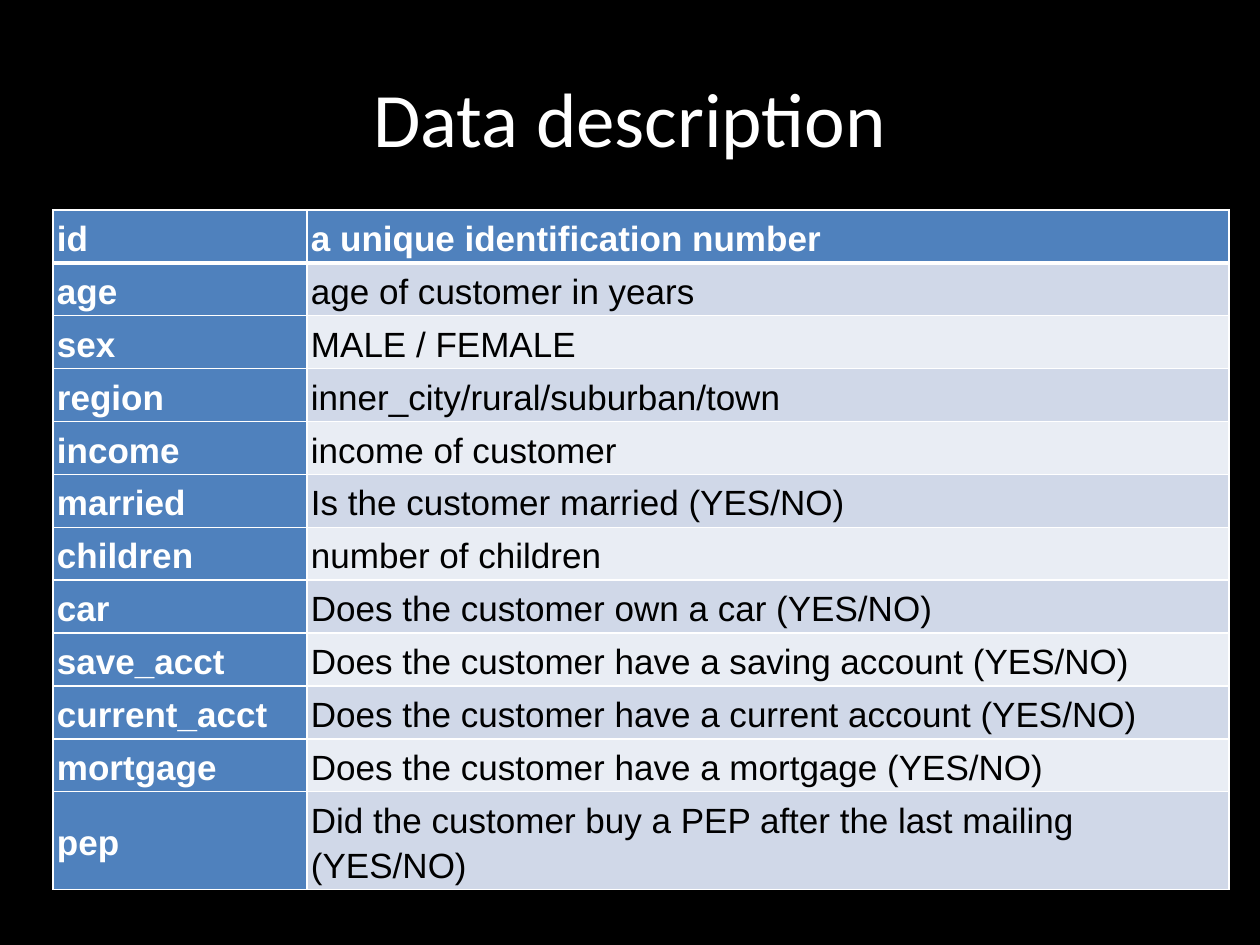
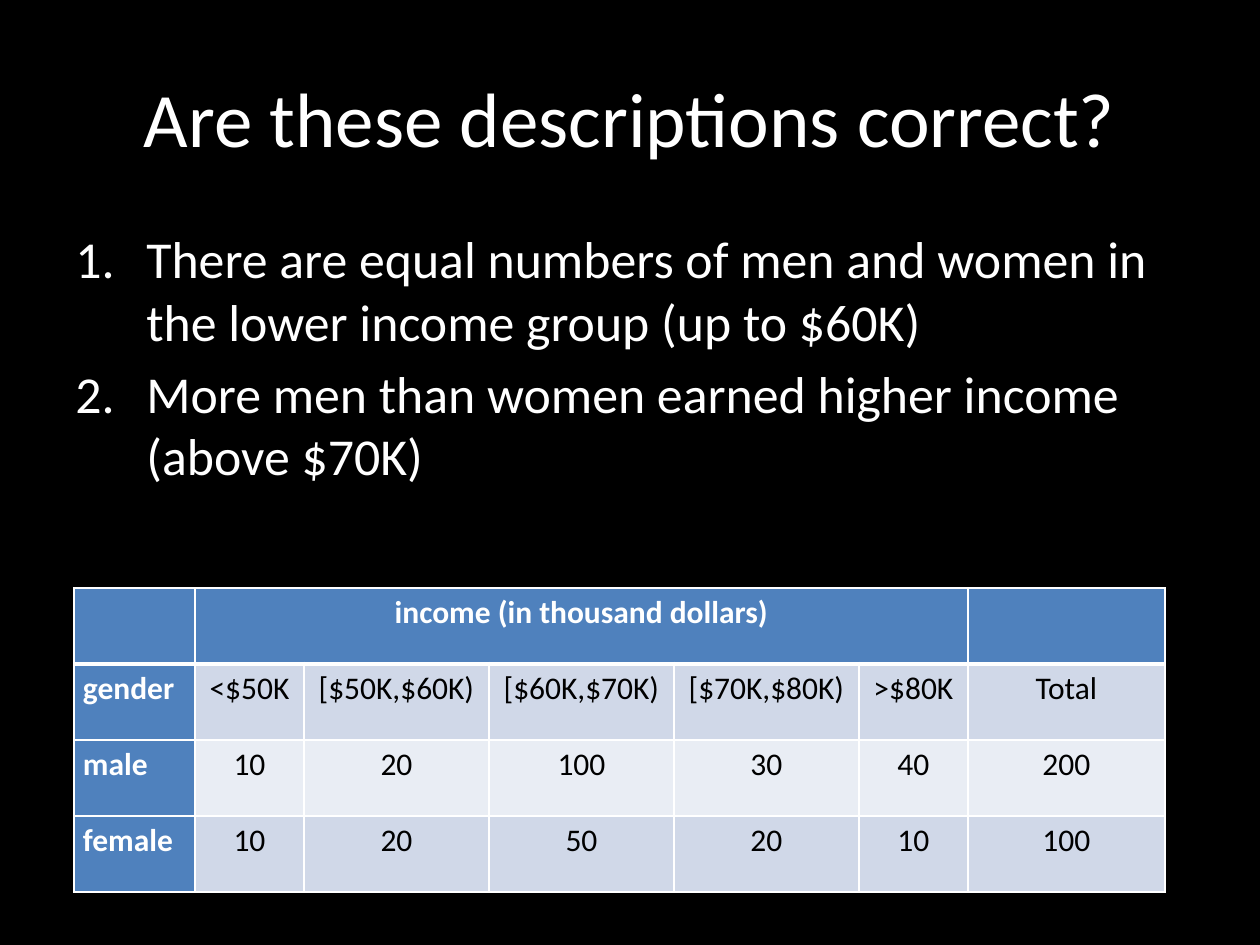
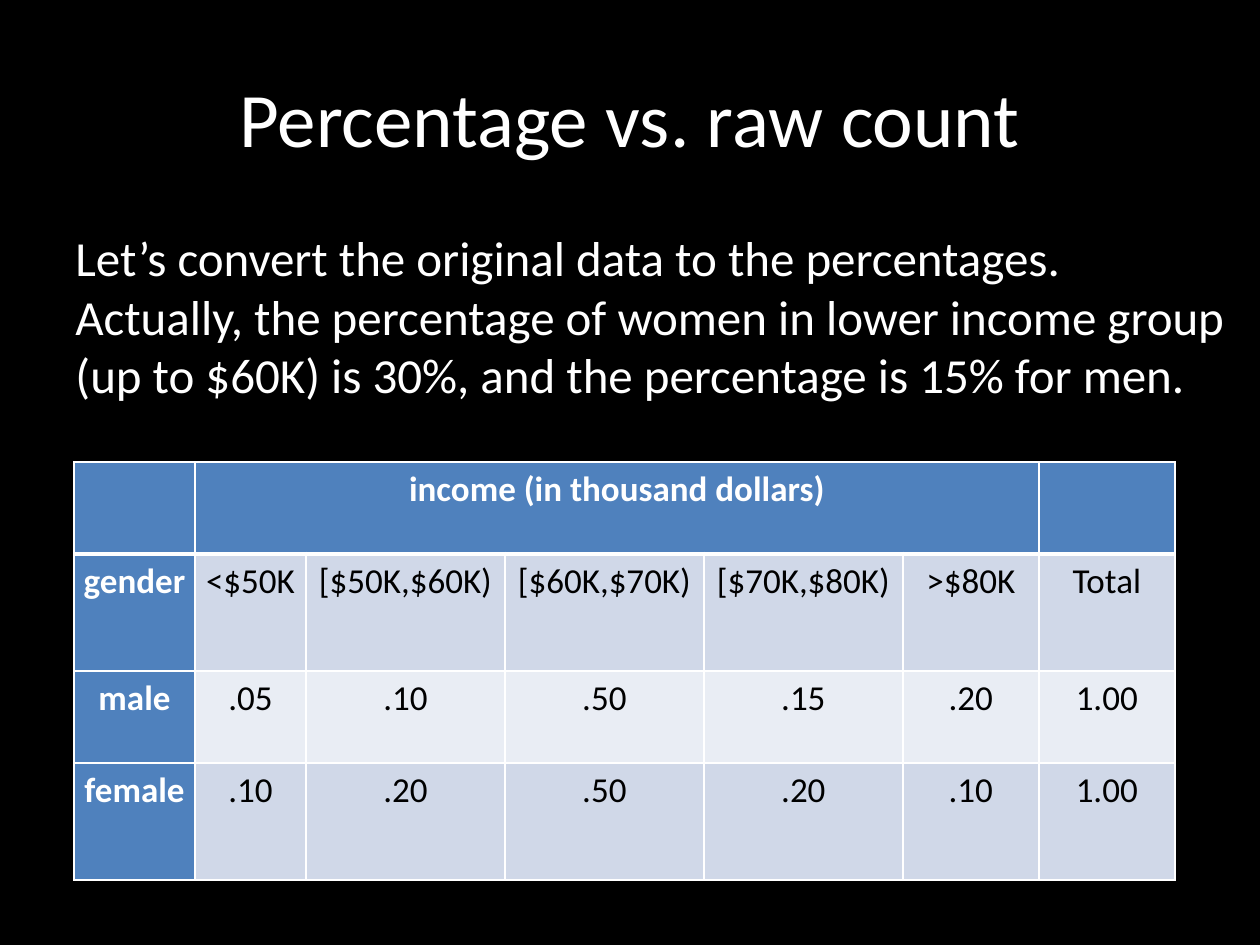
from lxml import etree
from pptx import Presentation
from pptx.dml.color import RGBColor
from pptx.enum.text import MSO_ANCHOR as ANCHOR, PP_ALIGN as ALIGN
from pptx.oxml.ns import qn
from pptx.util import Pt

PX = 914400 / 126
WHITE, BLACK, HEAD = "FFFFFF", "000000", "4F81BD"
BANDS = ("D0D8E8", "E9EDF4")
TITLE_BOX = (63, 38, 1134, 158)
TITLE_ONLY = 5

FIELDS = [
    ("id", "a unique identification number"),
    ("age", "age of customer in years"),
    ("sex", "MALE / FEMALE"),
    ("region", "inner_city/rural/suburban/town"),
    ("income", "income of customer"),
    ("married", "Is the customer married (YES/NO)"),
    ("children", "number of children"),
    ("car", "Does the customer own a car (YES/NO)"),
    ("save_acct", "Does the customer have a saving account (YES/NO)"),
    ("current_acct", "Does the customer have a current account (YES/NO)"),
    ("mortgage", "Does the customer have a mortgage (YES/NO)"),
    ("pep", "Did the customer buy a PEP after the last mailing (YES/NO)"),
]
INCOME_HEAD = [
    ("", "income (in thousand dollars)", "", "", "", "", ""),
    ("gender", "<$50K", "[$50K,$60K)", "[$60K,$70K)", "[$70K,$80K)", ">$80K", "Total"),
]
COUNTS = [
    ("male", "10", "20", "100", "30", "40", "200"),
    ("female", "10", "20", "50", "20", "10", "100"),
]
SHARES = [
    ("male", ".05", ".10", ".50", ".15", ".20", "1.00"),
    ("female", ".10", ".20", ".50", ".20", ".10", "1.00"),
]
CLAIMS = [
    "There are equal numbers of men and women in the lower income group (up to $60K)",
    "More men than women earned higher income (above $70K)",
]
FINDING = [
    "Let’s convert the original data to the percentages. Actually, the percentage of "
    "women in lower income group (up to $60K) is 30%, and the percentage is 15% for men."
]


def px(n):
    """Turn pixels into EMU."""
    return round(n * PX)


def rgb(color):
    """Turn a hex string into a colour."""
    return RGBColor.from_string(color)


def apply(obj, **values):
    """Set attributes from the given values."""
    for name, value in values.items():
        setattr(obj, name, value)


def style(p, size, color=WHITE, name="Calibri", bold=False):
    """Format the font of a paragraph's runs."""
    for r in p.runs:
        apply(r.font, size=Pt(size), name=name, bold=bold)
        r.font.color.rgb = rgb(color)


def place(sp, box):
    """Move and size a shape."""
    apply(sp, **dict(zip(("left", "top", "width", "height"), map(px, box))))


def add_slide(prs, title):
    """Add a titled slide."""
    s = prs.slides.add_slide(prs.slide_layouts[TITLE_ONLY])
    sp = s.shapes.title
    place(sp, TITLE_BOX)
    tf = sp.text_frame
    apply(tf, text=title, vertical_anchor=ANCHOR.MIDDLE, word_wrap=True)
    p = tf.paragraphs[0]
    p.alignment = ALIGN.CENTER
    style(p, 44)
    return s


def add_body(s, box, lines, size, numbered=False):
    """Add body text, numbered if wanted."""
    tf = s.shapes.add_textbox(*map(px, box)).text_frame
    tf.word_wrap = True
    for i, line in enumerate(lines):
        p = tf.add_paragraph() if i else tf.paragraphs[0]
        p.text = line
        if i:
            p.space_before = Pt(size * 0.2)
        if numbered:
            pPr = p._p.get_or_add_pPr()
            pPr.set("marL", str(px(71)))
            pPr.set("indent", str(px(-71)))
            etree.SubElement(pPr, qn("a:buAutoNum"), type="arabicPeriod")
        style(p, size)


def set_borders(cell, top, bottom):
    """Draw white borders around a cell, with widths in points."""
    tcPr = cell._tc.get_or_add_tcPr()
    for i, (side, width) in enumerate(zip("LRTB", (1, 1, top, bottom))):
        ln = etree.Element(qn(f"a:ln{side}"), w=str(Pt(width)))
        fill = etree.SubElement(ln, qn("a:solidFill"))
        etree.SubElement(fill, qn("a:srgbClr"), val=WHITE)
        tcPr.insert(i, ln)


def add_grid(s, at, cols, rows, data, size, pad, name="Calibri",
             anchor=ANCHOR.TOP, aligns=(ALIGN.CENTER, ALIGN.CENTER)):
    """Add a banded table; aligns are for the first column and the others."""
    box = (*at, sum(cols), sum(rows))
    tbl = s.shapes.add_table(len(rows), len(cols), *map(px, box)).table
    for col, width in zip(tbl.columns, cols):
        col.width = px(width)
    for row, height in zip(tbl.rows, rows):
        row.height = px(height)
    margins = ("margin_left", "margin_top", "margin_right", "margin_bottom")
    for i, texts in enumerate(data):
        for j, text in enumerate(texts):
            cell = tbl.cell(i, j)
            head = i == 0 or j == 0
            apply(cell, vertical_anchor=anchor, **dict(zip(margins, map(px, pad * 2))))
            cell.fill.solid()
            cell.fill.fore_color.rgb = rgb(HEAD if head else BANDS[(i - 1) % 2])
            set_borders(cell, 3 if i == 1 else 1, 3 if i == 0 else 1)
            if text:
                cell.text = text
                p = cell.text_frame.paragraphs[0]
                apply(p, alignment=aligns[min(j, 1)], line_spacing=1.15)
                style(p, size, WHITE if head else BLACK, name, head)
    return tbl


def add_income_grid(s, at, cols, rows, data, size, first_align):
    """Add an income table by gender with a spanning heading."""
    tbl = add_grid(s, at, cols, rows, INCOME_HEAD + data, size, (9, 0),
                   aligns=(first_align, ALIGN.CENTER))
    tbl.cell(0, 1).merge(tbl.cell(0, 5))


def description_slide(prs):
    """Build the slide that lists the data fields."""
    s = add_slide(prs, "Data description")
    rows = [52] * (len(FIELDS) - 1) + [97]
    add_grid(s, (53, 210), (254, 922), rows, FIELDS, 20, (4, 4), "Arial",
             ANCHOR.MIDDLE, (ALIGN.LEFT, ALIGN.LEFT))


def claims_slide(prs):
    """Build the slide with claims above the raw counts."""
    s = add_slide(prs, "Are these descriptions correct?")
    add_body(s, (63, 221, 1134, 325), CLAIMS, 29.6, numbered=True)
    cols = (121, 109, *[185] * 3, 109, 197)
    add_income_grid(s, (74, 588), cols, [76] * 4, COUNTS, 18, ALIGN.LEFT)


def shares_slide(prs):
    """Build the slide with the finding above the shares."""
    s = add_slide(prs, "Percentage vs. raw count")
    cols = (121, 111, *[199] * 3, 136, 136)
    add_income_grid(s, (74, 462), cols, (92, 117) * 2, SHARES, 20, ALIGN.CENTER)
    add_body(s, (63, 221, 1176, 231), FINDING, 28)


def main():
    """Build and save the presentation."""
    prs = Presentation()
    apply(prs, slide_width=px(1260), slide_height=px(945))
    fill = prs.slide_master.background.fill
    fill.solid()
    fill.fore_color.rgb = rgb(BLACK)
    for build in (description_slide, claims_slide, shares_slide):
        build(prs)
    prs.save("out.pptx")


if __name__ == "__main__":
    main()
